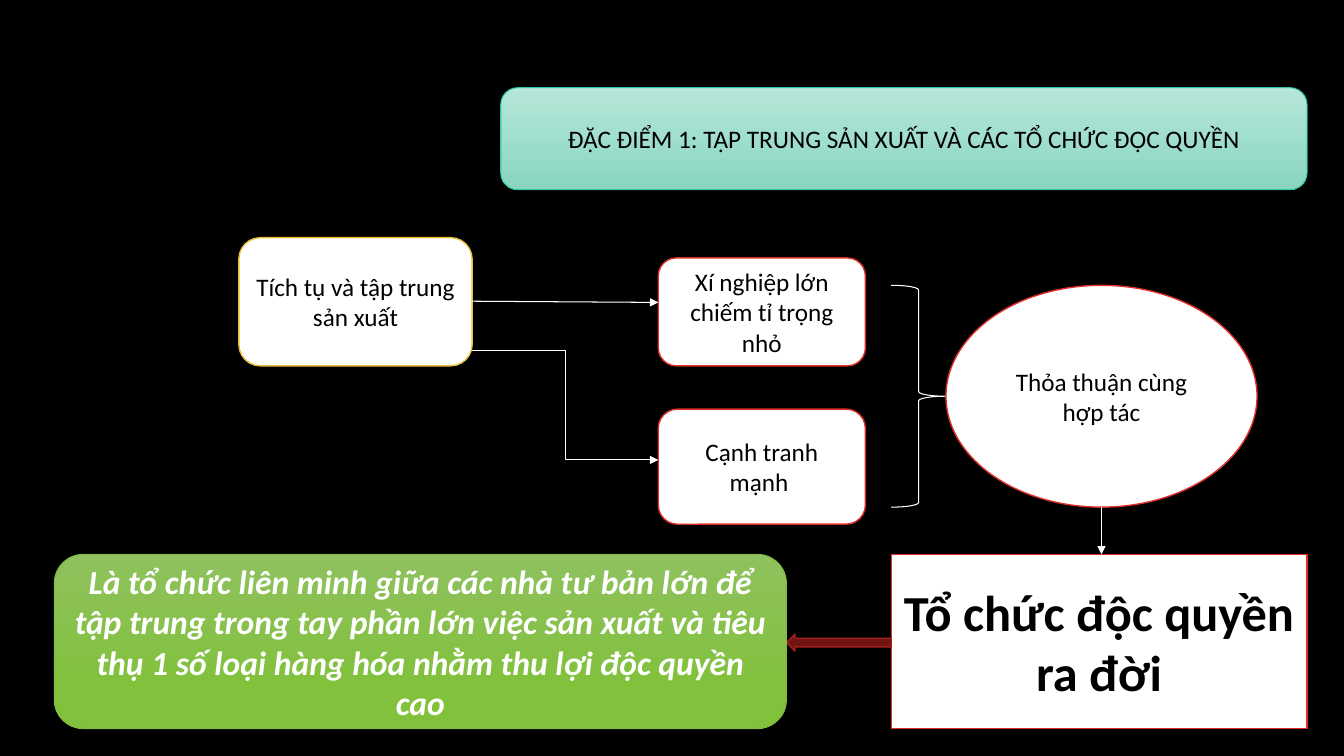
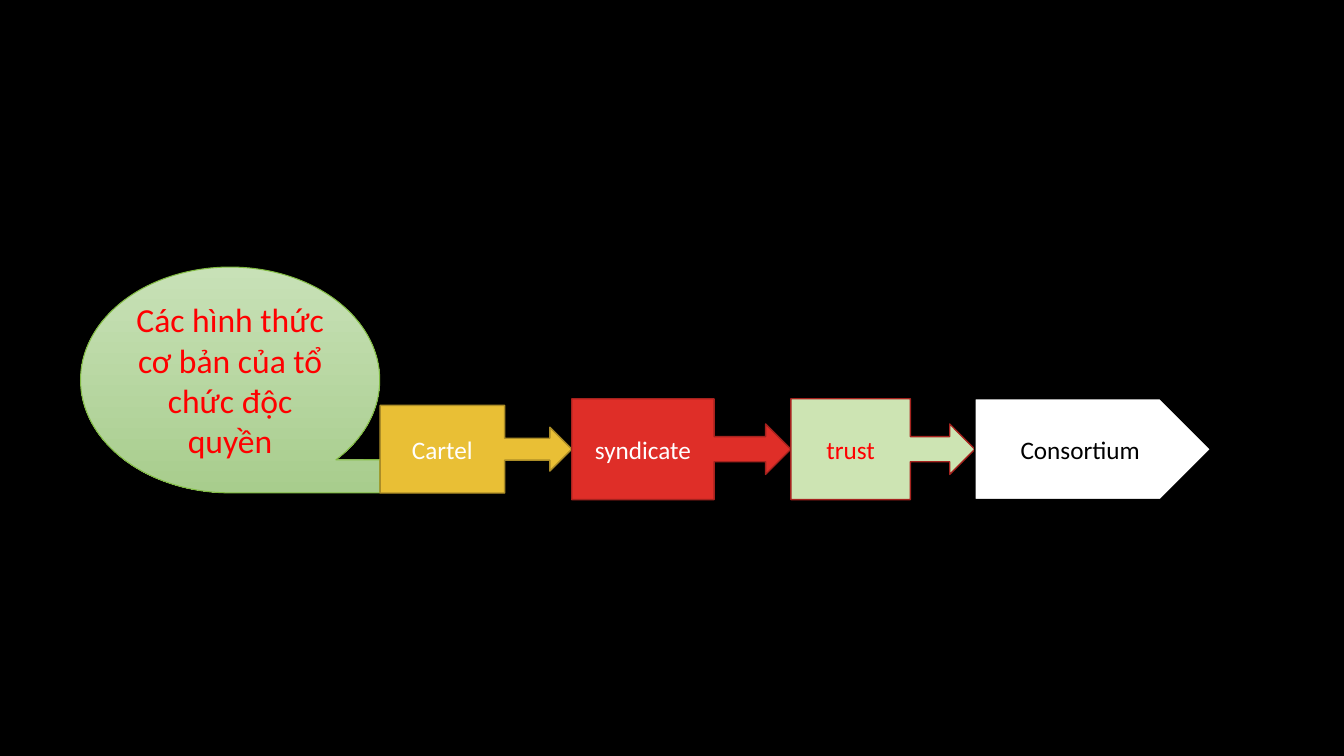
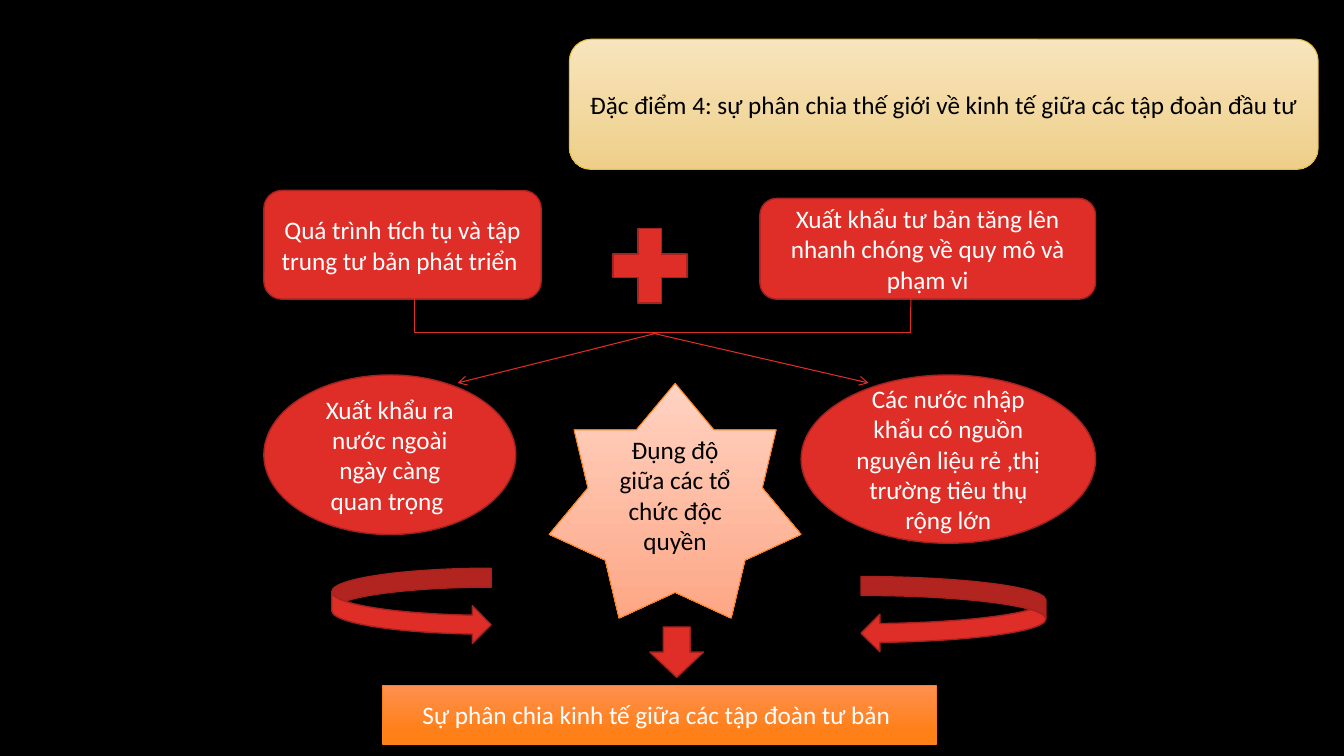
"""Build three slides of diagrams on monopoly organisations."""
from lxml import etree
from pptx import Presentation
from pptx.dml.color import RGBColor
from pptx.enum.shapes import MSO_CONNECTOR, MSO_SHAPE
from pptx.enum.text import MSO_ANCHOR, PP_ALIGN
from pptx.oxml.ns import qn
from pptx.util import Cm, Pt

ROUND, BOX, OVAL = MSO_SHAPE.ROUNDED_RECTANGLE, MSO_SHAPE.RECTANGLE, MSO_SHAPE.OVAL
PROCESS, BRACE = MSO_SHAPE.FLOWCHART_ALTERNATE_PROCESS, MSO_SHAPE.RIGHT_BRACE
TAPE, STAR = MSO_SHAPE.FLOWCHART_SEQUENTIAL_ACCESS_STORAGE, MSO_SHAPE.STAR_7_POINT
CALLOUT, PENTAGON = MSO_SHAPE.RIGHT_ARROW_CALLOUT, MSO_SHAPE.PENTAGON
LEFT, DOWN, PLUS = MSO_SHAPE.LEFT_ARROW, MSO_SHAPE.DOWN_ARROW, MSO_SHAPE.MATH_PLUS
CURVED_RIGHT, CURVED_LEFT = MSO_SHAPE.CURVED_RIGHT_ARROW, MSO_SHAPE.CURVED_LEFT_ARROW
STRAIGHT, ELBOW = MSO_CONNECTOR.STRAIGHT, MSO_CONNECTOR.ELBOW
CENTER, MIDDLE = PP_ALIGN.CENTER, MSO_ANCHOR.MIDDLE

COLORS = {
    "black": "000000", "white": "FFFFFF", "red": "DF2E28", "dark_red": "A5221E",
    "maroon": "721411", "bright_red": "FF0000", "gold": "E9BF35", "dark_gold": "AC8D27",
    "green": "81BB42", "pale_green": "CDE4B3", "teal": "32C7A9", "orange": "FE801A",
    "mint_top": "B6E7D9", "mint_low": "89D5C0", "leaf_top": "8FC15E", "leaf_low": "81C13C",
    "sage_top": "C8E1B7", "sage_low": "A8CD8D", "sand_top": "F8E5BD", "sand_low": "EECF89",
    "peach_top": "FFD2C2", "peach_low": "FEA785", "fire_top": "FE904F", "fire_low": "FF8019",
}

# style: fill (one colour, or top, bottom and end of gradient), line, line width, text colour
STYLES = {
    "mint": (("mint_top", "mint_low", 1), "teal", 0.75, "black"),
    "sand": (("sand_top", "sand_low", 1), "gold", 0.75, "black"),
    "leaf": (("leaf_top", "leaf_low", 0.78), "green", 0.75, "white"),
    "sage": (("sage_top", "sage_low", 1), "green", 0.75, "bright_red"),
    "peach": (("peach_top", "peach_low", 1), "orange", 0.75, "black"),
    "fire": (("fire_top", "fire_low", 0.78), "orange", 0.75, "white"),
    "gold_edge": ("white", "gold", 1, "black"),
    "red_edge": ("white", "red", 1, "black"),
    "black_edge": ("white", "black", 1, "black"),
    "gold": ("gold", "dark_gold", 1, "white"),
    "red": ("red", "dark_red", 1, "white"),
    "pale": ("pale_green", "dark_red", 1, "bright_red"),
    "maroon": ("maroon", "dark_red", 1, "white"),
    "outline": (None, "white", 0.75, "white"),
}
BODY = {"name": "Calibri", "size": Pt(18)}
LARGE = {**BODY, "size": Pt(24)}
DEFINITION = {**LARGE, "bold": True, "italic": True}
RESULT = {**BODY, "size": Pt(36), "bold": True}

BIRTH_SHAPES = [
    (ROUND, "mint", (12.62, 2.21, 20.32, 2.57),
     "ĐẶC ĐIỂM 1: TẬP TRUNG SẢN XUẤT VÀ CÁC TỔ CHỨC ĐỘC QUYỀN", BODY),
    (PROCESS, "gold_edge", (6.02, 5.99, 5.88, 3.23), "Tích tụ và tập trung sản xuất", BODY),
    (PROCESS, "red_edge", (16.59, 6.5, 5.22, 2.72), "Xí nghiệp lớn chiếm tỉ trọng nhỏ", BODY),
    (PROCESS, "red_edge", (16.59, 10.31, 5.22, 2.9), "Cạnh tranh mạnh ", BODY),
    (BRACE, "outline", (22.46, 7.19, 1.38, 5.59), "", BODY),
    (OVAL, "red_edge", (23.84, 7.19, 7.84, 5.59), "Thỏa thuận cùng hợp tác", BODY),
    (BOX, "red_edge", (22.46, 13.97, 10.48, 4.39), "Tổ chức độc quyền ra đời", RESULT),
    (LEFT, "maroon", (19.82, 15.98, 2.64, 0.43), "", BODY),
    (ROUND, "leaf", (1.37, 13.97, 18.45, 4.39),
     "Là tổ chức liên minh giữa các nhà tư bản lớn để tập trung trong tay phần lớn việc "
     "sản xuất và tiêu thụ 1 số loại hàng hóa nhằm thu lợi độc quyền cao", DEFINITION),
]
BIRTH_LINES = [
    (STRAIGHT, "white", (11.9, 7.59, 16.59, 7.62), "triangle"),
    (ELBOW, "white", (11.9, 8.84, 16.59, 11.59), "triangle"),
    (STRAIGHT, "white", (27.76, 12.78, 27.76, 13.97), "triangle"),
]

FORMS_SHAPES = [
    (TAPE, "sage", (2.03, 6.73, 7.54, 5.69), "Các hình thức cơ bản của tổ chức độc quyền", LARGE),
]
CHAIN_LEFT, CHAIN_MIDDLE = 9.58, 11.32
CHAIN = [
    (CALLOUT, "gold", 4.83, 2.21, "Cartel"),
    (CALLOUT, "red", 5.52, 2.54, "syndicate"),
    (CALLOUT, "pale", 4.64, 2.54, "trust"),
    (PENTAGON, "black_edge", 5.94, 2.54, "Consortium"),
]

DIVISION_SHAPES = [
    (ROUND, "sand", (14.35, 0.99, 18.87, 3.28),
     "Đặc điểm 4: sự phân chia thế giới về kinh tế giữa các tập đoàn đầu tư", BODY),
    (ROUND, "red", (6.65, 4.8, 6.99, 2.74),
     "Quá trình tích tụ và tập trung tư bản phát triển ", BODY),
    (ROUND, "red", (19.15, 5, 8.46, 2.54),
     "Xuất khẩu tư bản tăng lên nhanh chóng về quy mô và phạm vi", BODY),
    (PLUS, "red", (15.11, 5.43, 2.54, 2.54), "", BODY),
    (OVAL, "red", (6.65, 9.45, 6.35, 4.02),
     "Xuất khẩu ra nước ngoài ngày càng quan trọng ", BODY),
    (OVAL, "red", (20.19, 9.45, 7.42, 4.24),
     "Các nước nhập khẩu có nguồn nguyên liệu rẻ ,thị trường tiêu thụ rộng lớn", BODY),
    (CURVED_RIGHT, "red", (8.36, 14.32, 4.02, 1.9), "", BODY),
    (CURVED_LEFT, "red", (21.7, 14.53, 4.66, 1.9), "", BODY),
    (STAR, "peach", (13.84, 9.66, 6.35, 5.92), "Đụng độ giữa các tổ chức độc quyền", BODY),
    (BOX, "fire", (9.63, 17.27, 13.97, 1.48),
     "Sự phân chia kinh tế giữa các tập đoàn tư bản ", BODY),
    (DOWN, "red", (16.38, 15.8, 1.35, 1.27), "", BODY),
]
DIVISION_LINES = [
    (STRAIGHT, "red", (10.45, 8.38, 22.96, 8.38), None),
    (STRAIGHT, "red", (10.45, 8.38, 10.45, 7.33), None),
    (STRAIGHT, "red", (22.96, 7.33, 22.94, 8.38), None),
    (STRAIGHT, "red", (16.61, 8.38, 11.53, 9.65), "arrow"),
    (STRAIGHT, "red", (16.38, 8.38, 21.89, 9.65), "arrow"),
]


def rgb(name):
    return RGBColor.from_string(COLORS[name])


def paint(fill, color):
    if color is None:
        fill.background()
    elif isinstance(color, str):
        fill.solid()
        fill.fore_color.rgb = rgb(color)
    else:
        top, low, end = color
        fill.gradient()
        fill.gradient_angle = 270
        for stop, name, position in zip(fill.gradient_stops, (top, low), (0, end)):
            stop.color.rgb = rgb(name)
            stop.position = position


def add_block(slide, kind, style, box, text, font):
    fill, line, width, text_color = STYLES[style]
    sp = slide.shapes.add_shape(kind, *map(Cm, box))
    sp.shadow.inherit = False
    paint(sp.fill, fill)
    sp.line.color.rgb = rgb(line)
    sp.line.width = Pt(width)
    if not text:
        return
    tf = sp.text_frame
    tf.word_wrap = True
    tf.vertical_anchor = MIDDLE
    p = tf.paragraphs[0]
    p.alignment = CENTER
    r = p.add_run()
    r.text = text
    for key, value in font.items():
        setattr(r.font, key, value)
    r.font.color.rgb = rgb(text_color)


def add_line(slide, kind, color, ends, head):
    c = slide.shapes.add_connector(kind, *map(Cm, ends))
    c.line.color.rgb = rgb(color)
    c.line.width = Pt(0.75)
    props = c._element.spPr
    if head:
        etree.SubElement(props.find(qn("a:ln")), qn("a:tailEnd"), type=head)
    etree.SubElement(props, qn("a:effectLst"))


def chain_shapes():
    blocks, x = [], CHAIN_LEFT
    for kind, style, width, height, text in CHAIN:
        box = (x, CHAIN_MIDDLE - height / 2, width, height)
        blocks.append((kind, style, box, text, BODY))
        x += width
    return blocks


def main():
    prs = Presentation()
    prs.slide_width, prs.slide_height = Cm(33.87), Cm(19.05)
    slides = [
        (BIRTH_SHAPES, BIRTH_LINES),
        (FORMS_SHAPES + chain_shapes(), []),
        (DIVISION_SHAPES, DIVISION_LINES),
    ]
    paint(prs.slide_master.background.fill, "black")
    for blocks, lines in slides:
        slide = prs.slides.add_slide(prs.slide_layouts[6])
        for block in blocks:
            add_block(slide, *block)
        for line in lines:
            add_line(slide, *line)
    prs.save("out.pptx")


if __name__ == "__main__":
    main()
